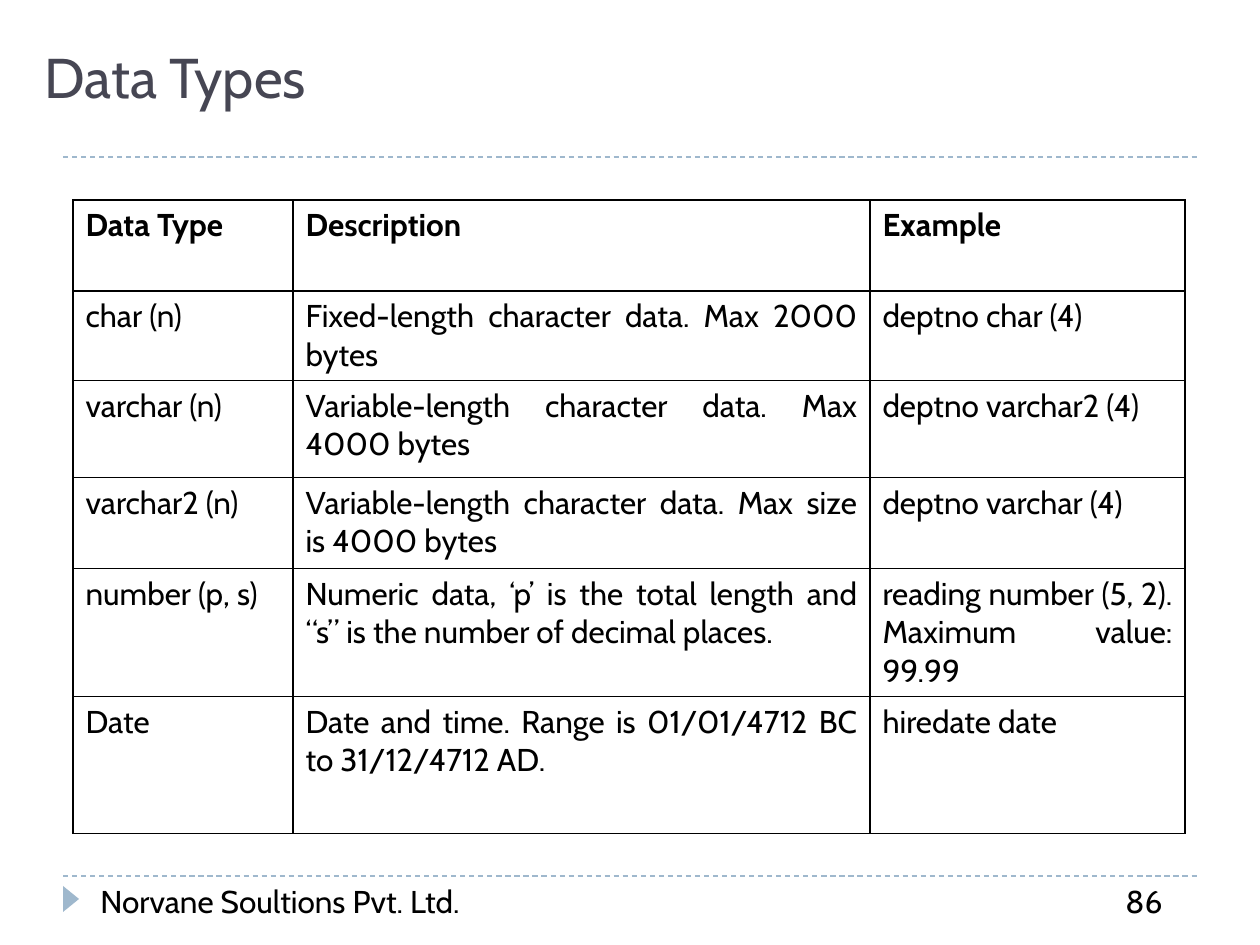
"""Build the Data Types slide with a table of SQL column types."""
import pptx
import pptx.dml.color
import pptx.enum.dml
import pptx.enum.shapes
import pptx.enum.text
import pptx.oxml
import pptx.oxml.ns
import pptx.util

SCALE = 914400 / 126
BLACK = pptx.dml.color.RGBColor(0x00, 0x00, 0x00)
SLATE = pptx.dml.color.RGBColor(0x46, 0x46, 0x53)
BLUE = pptx.dml.color.RGBColor(0x9F, 0xB8, 0xCD)
ALIGN = pptx.enum.text.PP_ALIGN
ANCHOR = pptx.enum.text.MSO_ANCHOR


def emu(*lengths):
    return [pptx.util.Emu(round(length * SCALE)) for length in lengths]


def write(text_frame, text, size=18, color=BLACK, bold=False, align=ALIGN.LEFT):
    paragraph = text_frame.paragraphs[0]
    paragraph.alignment = align
    run = paragraph.add_run()
    run.text = text
    font_format = {"name": "Cabin", "size": pptx.util.Pt(size), "bold": bold}
    for attribute, value in font_format.items():
        setattr(run.font, attribute, value)
    run.font.color.rgb = color


presentation = pptx.Presentation()
presentation.slide_width, presentation.slide_height = emu(1260, 945)
slide = presentation.slides.add_slide(presentation.slide_layouts[5])

for y in (876, 157):
    rule = slide.shapes.add_connector(
        pptx.enum.shapes.MSO_CONNECTOR.STRAIGHT, *emu(63, y, 1197, y))
    rule.line.color.rgb = BLUE
    rule.line.width = pptx.util.Pt(0.75)
    rule.line.dash_style = pptx.enum.dml.MSO_LINE.DASH
    rule._element.spPr.append(pptx.oxml.parse_xml(
        f"<a:effectLst {pptx.oxml.ns.nsdecls('a')}/>"))

marker = slide.shapes.add_shape(
    pptx.enum.shapes.MSO_SHAPE.ISOSCELES_TRIANGLE, *emu(58, 891, 26, 16))
marker.rotation = 90
marker.shadow.inherit = False
marker.fill.solid()
marker.fill.fore_color.rgb = BLUE
marker.line.fill.background()

title = slide.shapes.title
title.left, title.top, title.width, title.height = emu(32, 0, 1197, 116)
title.text_frame.vertical_anchor = ANCHOR.BOTTOM
write(title.text_frame, "Data Types", size=32, color=SLATE)

rows = [
    ("Data Type", "Description", "Example"),
    ("char (n)", "Fixed-length character data. Max 2000 bytes",
     "deptno char (4)"),
    ("varchar (n)", "Variable-length character data. Max 4000 bytes",
     "deptno varchar2 (4)"),
    ("varchar2 (n)", "Variable-length character data. Max size is 4000 bytes",
     "deptno varchar (4)"),
    ("number (p, s)",
     "Numeric data, ‘p’ is the total length and “s” is the number of decimal places. ",
     "reading number (5, 2). Maximum value: 99.99"),
    ("Date", "Date and time. Range is 01/01/4712 BC to 31/12/4712 AD.",
     "hiredate date"),
]
column_widths = emu(220, 577, 315)
row_heights = emu(91, 83, 97, 91, 118, 137)
table = slide.shapes.add_table(
    len(rows), len(column_widths), *emu(73, 200), sum(column_widths),
    sum(row_heights)).table
table.first_row = False
table.horz_banding = False
for column, width in zip(table.columns, column_widths):
    column.width = width
for row, height in zip(table.rows, row_heights):
    row.height = height

for row_index, texts in enumerate(rows):
    for column_index, text in enumerate(texts):
        cell = table.cell(row_index, column_index)
        write(cell.text_frame, text, bold=row_index == 0, align=ALIGN.JUSTIFY)
        cell_properties = cell._tc.get_or_add_tcPr()
        for side in ("lnL", "lnR", "lnT", "lnB"):
            cell_properties.append(pptx.oxml.parse_xml(
                f"<a:{side} {pptx.oxml.ns.nsdecls('a')} w='12700'><a:solidFill>"
                f"<a:srgbClr val='{BLACK}'/></a:solidFill></a:{side}>"))
        cell.fill.background()

for text, left, width in (("Norvane Soultions Pvt. Ltd.", 88, 479), ("86", 1113, 84)):
    footer = slide.shapes.add_textbox(*emu(left, 876, width, 50))
    footer.text_frame.word_wrap = True
    write(footer.text_frame, text)

presentation.save("out.pptx")
